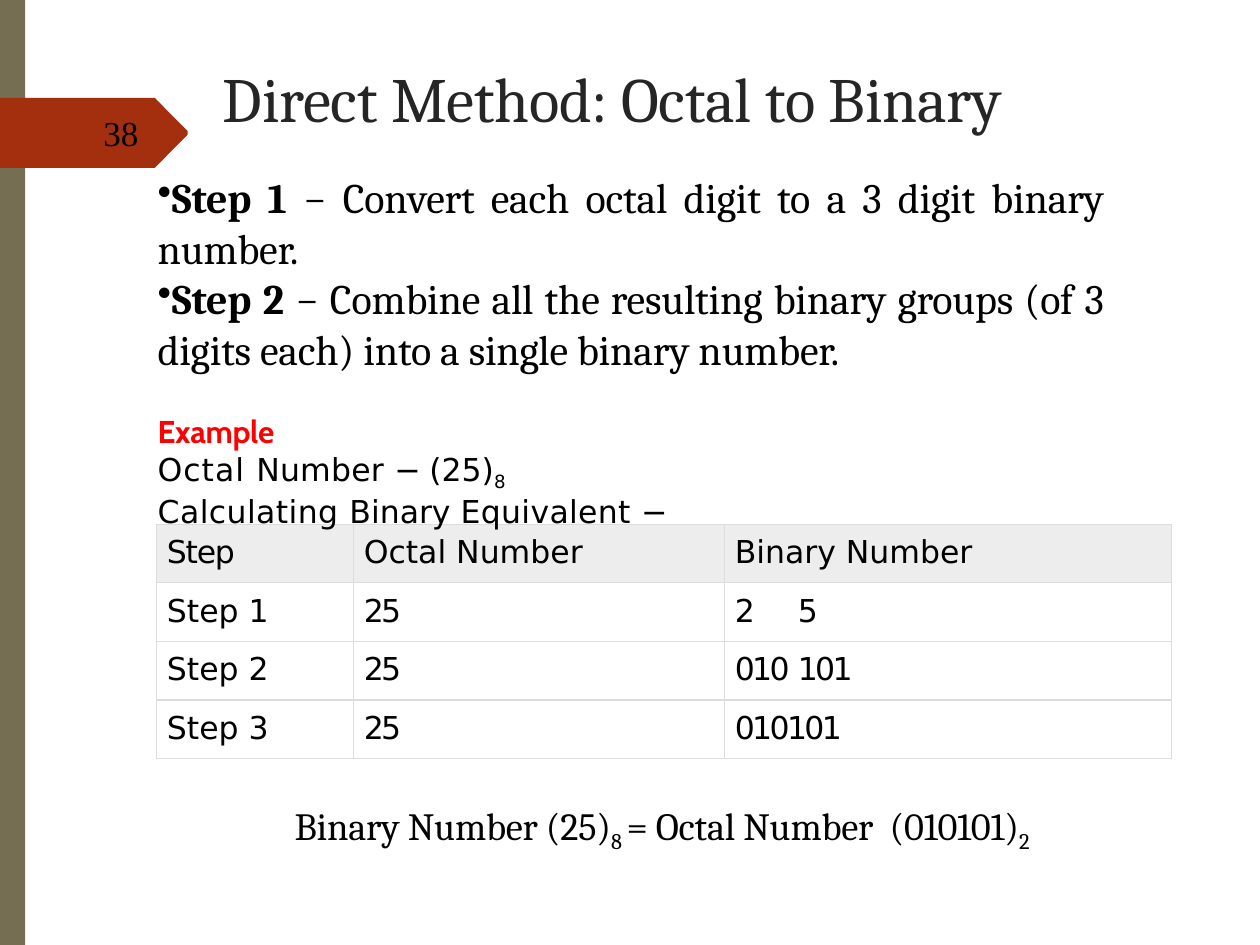
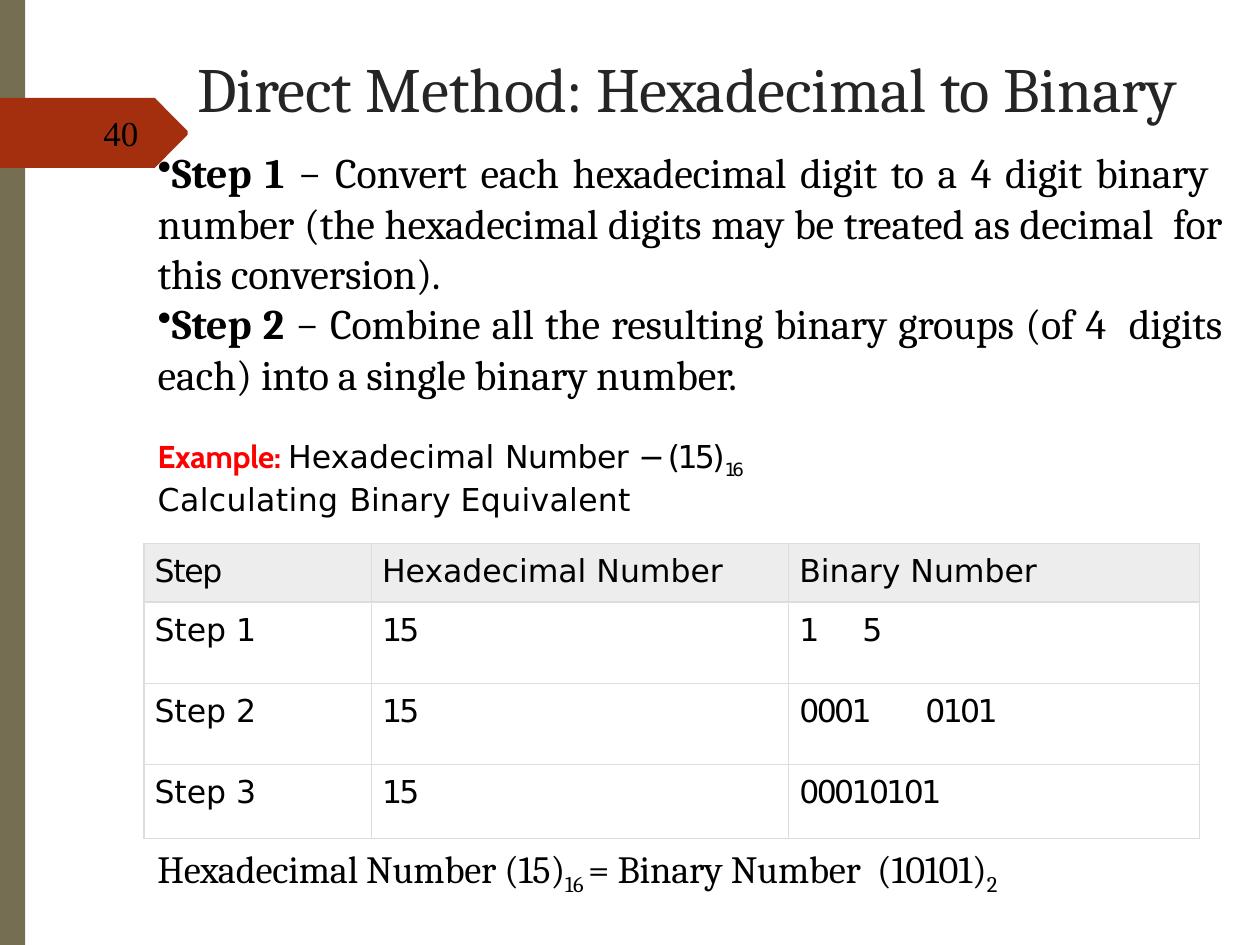
from dataclasses import dataclass

import pptx
import pptx.dml.color
import pptx.enum.shapes
import pptx.enum.text
import pptx.oxml
import pptx.oxml.ns
import pptx.util
from pptx.util import Pt


@dataclass(frozen=True)
class Theme:
    bar: str = "766E53"
    arrow: str = "A42F0F"
    title: str = "252525"
    text: str = "000000"
    example: str = "FF0000"
    header: str = "EDEDED"
    border: str = "DDDDDD"
    serif: str = "Cambria"
    sans: str = "DejaVu Sans"
    accent: str = "Cabin"
    number: str = "Times New Roman"
    title_size: int = 36
    step_size: int = 24
    result_size: int = 22
    number_size: int = 20
    small_size: int = 18


THEME = Theme()

STYLES = {
    "title": dict(font=THEME.serif, size=THEME.title_size, color=THEME.title, spacing=-0.1),
    "number": dict(font=THEME.number, size=THEME.number_size, spacing=0.1),
    "step": dict(font=THEME.serif, size=THEME.step_size, spacing=-0.1),
    "step name": dict(font=THEME.serif, size=THEME.step_size, spacing=-0.1, bold=True),
    "example": dict(font=THEME.accent, size=THEME.small_size, color=THEME.example,
                    spacing=-0.2, bold=True),
    "sans": dict(font=THEME.sans, size=THEME.small_size),
    "result": dict(font=THEME.serif, size=THEME.result_size, spacing=-0.1),
    "result base": dict(font=THEME.serif, size=THEME.result_size, spacing=-0.1, baseline=-25),
}

# A run is (text, style) or (text, style, changes to the style).
CALCULATING = [("Calculating ", "sans", dict(spacing=0.25)), ("Binary ", "sans"),
               ("Equivalent", "sans", dict(spacing=0.2))]

SLIDES = [
    dict(
        number="38",
        title="Direct Method: Octal to Binary",
        title_box=(126.7, 33.1, 467.3, 45.4),
        steps=["Convert each octal digit to a 3 digit binary number.",
               "Combine all the resulting binary groups (of 3 digits each) into a single "
               "binary number."],
        steps_right_margin=36,
        example=[
            [("Example", "example")],
            [("Octal ", "sans", dict(spacing=0.6)), ("Number ", "sans", dict(spacing=0.1)),
             ("− ", "sans", dict(spacing=-0.8)), ("(25)", "sans"),
             ("8", "sans", dict(baseline=-25))],
            CALCULATING + [(" −", "sans")],
        ],
        body_box=(87.3, 97.2, 579.4, 203.8),
        header=["Step", "Octal Number", "Binary Number"],
        rows=[["Step 1", "25", "2\t5"], ["Step 2", "25", "010\t101"], ["Step 3", "25", "010101"]],
        tabs=[59.8, 56.2, None],
        table_at=(89.4, 299.6),
        column_widths=[112.5, 212, 255.5],
        row_heights=[33.5] * 4,
        result=[("Binary Number (25)", "result"), ("8 ", "result base"),
                ("= Octal Number  (010101)", "result"), ("2", "result base")],
        result_box=(165.6, 457.2, 465, 28),
    ),
    dict(
        number="40",
        title="Direct Method: Hexadecimal to Binary",
        title_box=(112.3, 27.4, 585.4, 45.4),
        steps=["Convert each hexadecimal digit to a 4 digit binary  number (the hexadecimal "
               "digits may be treated as decimal  for this conversion).",
               "Combine all the resulting binary groups (of 4  digits each) into a single "
               "binary number."],
        steps_right_margin=0,
        example=[
            [("Example: ", "example"), ("Hexadecimal ", "sans", dict(spacing=0.1)),
             ("Number ", "sans", dict(spacing=-0.3)), ("− ", "sans", dict(spacing=-3.9)),
             ("(15)", "sans", dict(spacing=-1.5)),
             ("16", "sans", dict(spacing=-2.2, baseline=-25))],
            CALCULATING,
        ],
        body_box=(87.3, 82.8, 611, 211),
        header=["Step", "Hexadecimal Number", "Binary Number"],
        rows=[["Step 1", "15", "1\t5"], ["Step 2", "15", "0001\t0101"],
              ["Step 3", "15", "00010101"]],
        tabs=[69.1, 59.8, None],
        table_at=(82.3, 310.5),
        column_widths=[130, 238.5, 234.7],
        row_heights=[33.5, 46.5, 46.5, 42],
        result=[("Hexadecimal Number (15)", "result"), ("16 ", "result base"),
                ("= Binary Number  (10101)", "result"), ("2", "result base")],
        result_box=(87.1, 481.7, 533, 28),
    ),
]

SLIDE_SIZE = (720, 540)
BAR_WIDTH = 14.4
ARROW = [(0, 56), (88.5, 56), (107.2, 74.9), (107.2, 77), (88.5, 95.9), (0, 95.9)]
NUMBER_BOX = (58.3, 62.6, 22.3, 25.9)
BODY_INDENT = 2.8
CELL_INDENT = 6
CELL_TOP = 5.8


def rgb(color):
    return pptx.dml.color.RGBColor.from_string(color)


def xml(tag, content="", **attributes):
    listed = "".join(f' {name}="{value}"' for name, value in attributes.items())
    return pptx.oxml.parse_xml(
        f'<a:{tag} {pptx.oxml.ns.nsdecls("a")}{listed}>{content}</a:{tag}>')


def write(paragraph, text, font=THEME.sans, size=THEME.small_size, color=THEME.text,
          bold=False, spacing=0, baseline=0):
    run = paragraph.add_run()
    run.text = text
    run.font.name, run.font.size, run.font.bold = font, Pt(size), bold
    run.font.color.rgb = rgb(color)
    properties = run.font._element
    properties.set("spc", str(round(spacing * 100)))
    properties.set("baseline", str(baseline * 1000))


def write_runs(paragraph, runs):
    for text, style, *changes in runs:
        write(paragraph, text, **{**STYLES[style], **(changes[0] if changes else {})})


def set_paragraph(paragraph, left=0, right=0, before=0, bullet=False, tab=None, justify=False):
    align = pptx.enum.text.PP_ALIGN
    paragraph.alignment = align.JUSTIFY if justify else align.LEFT
    paragraph.space_before = Pt(before)
    properties = paragraph._p.get_or_add_pPr()
    for name, value in (("marL", left), ("marR", right), ("indent", 0)):
        properties.set(name, str(Pt(value)))
    if bullet:
        properties.append(xml("buSzPct", val=96000))
        properties.append(xml("buChar", char="•"))
    if tab:
        properties.append(xml("tabLst", f'<a:tab pos="{Pt(tab)}" algn="l"/>'))


def set_frame(frame):
    frame.margin_left = frame.margin_right = frame.margin_bottom = 0
    frame.margin_top = Pt(1)
    frame.word_wrap = True
    frame.vertical_anchor = pptx.enum.text.MSO_ANCHOR.TOP
    frame.auto_size = pptx.enum.text.MSO_AUTO_SIZE.SHAPE_TO_FIT_TEXT
    return frame


def add_frame(slide, box):
    return set_frame(slide.shapes.add_textbox(*map(Pt, box)).text_frame)


def add_line(slide, box, runs, left):
    paragraph = add_frame(slide, box).paragraphs[0]
    set_paragraph(paragraph, left=left, before=1)
    write_runs(paragraph, runs)


def paint(shape, color):
    shape.shadow.inherit = False
    shape.fill.solid()
    shape.fill.fore_color.rgb = rgb(color)
    shape.line.fill.background()


def add_bands(slide, number):
    rectangle = pptx.enum.shapes.MSO_SHAPE.RECTANGLE
    paint(slide.shapes.add_shape(rectangle, 0, 0, Pt(BAR_WIDTH), Pt(SLIDE_SIZE[1])), THEME.bar)
    points = [(Pt(x), Pt(y)) for x, y in ARROW]
    outline = slide.shapes.build_freeform(*points[0])
    outline.add_line_segments(points[1:], close=True)
    paint(outline.convert_to_shape(), THEME.arrow)
    add_line(slide, NUMBER_BOX, [(number, "number")], left=0.7)


def set_title(slide, text, box):
    title = slide.shapes.title
    title.left, title.top, title.width, title.height = map(Pt, box)
    paragraph = set_frame(title.text_frame).paragraphs[0]
    set_paragraph(paragraph, left=0.7, before=1)
    write_runs(paragraph, [(text, "title")])


def set_cell(cell, text, is_header, tab):
    cell.margin_left = cell.margin_right = cell.margin_bottom = 0
    cell.margin_top = Pt(CELL_TOP)
    if is_header:
        cell.fill.solid()
        cell.fill.fore_color.rgb = rgb(THEME.header)
    else:
        cell.fill.background()
    for position, side in enumerate(("lnL", "lnR", "lnT", "lnB")):
        line = f'<a:solidFill><a:srgbClr val="{THEME.border}"/></a:solidFill>'
        cell._tc.get_or_add_tcPr().insert(position, xml(side, line, w=Pt(0.75)))
    paragraph = cell.text_frame.paragraphs[0]
    set_paragraph(paragraph, left=CELL_INDENT, before=5.5, tab=tab)
    is_digits = text.replace("\t", "").isdigit()
    write(paragraph, text, spacing=-1.5 if is_digits else -0.7 if text == "Step" else 0)


def add_conversion_table(slide, content):
    rows = [content["header"], *content["rows"]]
    widths, heights = content["column_widths"], content["row_heights"]
    table = slide.shapes.add_table(
        len(rows), len(widths), *map(Pt, content["table_at"]),
        Pt(sum(widths)), Pt(sum(heights))).table
    table.first_row = table.horz_banding = False
    for column, width in zip(table.columns, widths):
        column.width = Pt(width)
    for row, height in zip(table.rows, heights):
        row.height = Pt(height)
    for r, (row, tab) in enumerate(zip(rows, [None, *content["tabs"]])):
        for c, text in enumerate(row):
            set_cell(table.cell(r, c), text, r == 0, tab if "\t" in text else None)


def add_body(slide, content):
    frame = add_frame(slide, content["body_box"])
    steps = [[(f"Step {i} ", "step name"), (f"− {text}", "step")]
             for i, text in enumerate(content["steps"], 1)]
    for i, runs in enumerate(steps + content["example"]):
        paragraph = frame.add_paragraph() if i else frame.paragraphs[0]
        is_step = i < len(steps)
        set_paragraph(paragraph, left=BODY_INDENT, bullet=is_step, justify=is_step,
                      right=content["steps_right_margin"] if is_step else 0,
                      before=1 if i == 0 else 21.9 if i == len(steps) else 0)
        write_runs(paragraph, runs)


def main():
    deck = pptx.Presentation()
    deck.slide_width, deck.slide_height = map(Pt, SLIDE_SIZE)
    title_only = deck.slide_layouts[5]
    for content in SLIDES:
        slide = deck.slides.add_slide(title_only)
        add_bands(slide, content["number"])
        set_title(slide, content["title"], content["title_box"])
        add_conversion_table(slide, content)
        add_body(slide, content)
        add_line(slide, content["result_box"], content["result"], left=BODY_INDENT)
    deck.save("out.pptx")


if __name__ == "__main__":
    main()
